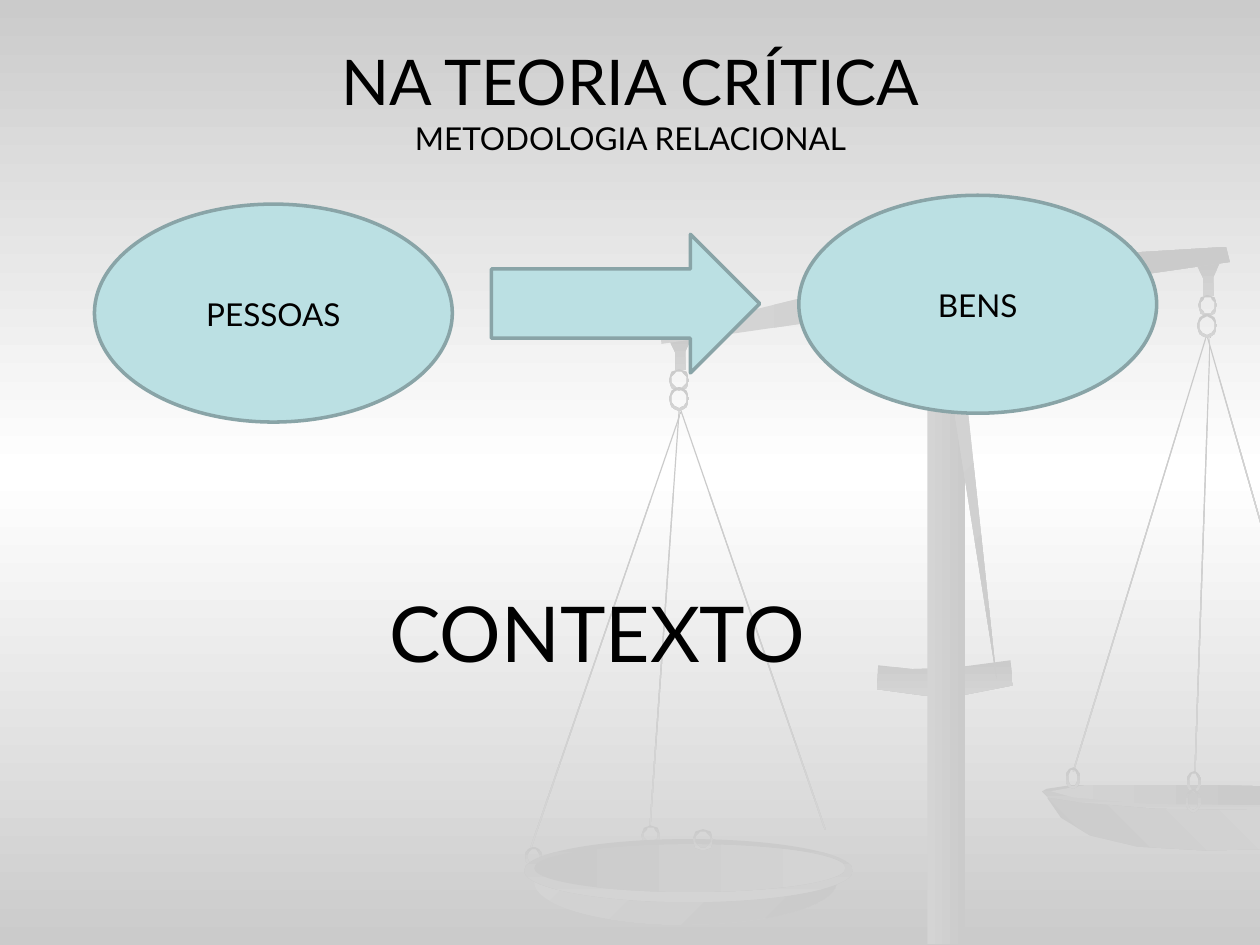
from copy import deepcopy
from math import cos, pi, sin

from pptx import Presentation
from pptx import util as u
from pptx.dml.color import RGBColor
from pptx.enum import shapes, text
from pptx.oxml import ns

PX = u.Inches(0.01)
FONT = "Lato"
BLACK = RGBColor(0x00, 0x00, 0x00)
WHITE = RGBColor(0xFF, 0xFF, 0xFF)
GREY = RGBColor(0xCB, 0xCB, 0xCB)
PALE_GREY = RGBColor(0xD4, 0xD4, 0xD4)
AQUA = RGBColor(0xBB, 0xE0, 0xE3)
TEAL = RGBColor(0x89, 0xA4, 0xA7)
DARK_FIRST = (GREY, PALE_GREY)
LIGHT_FIRST = (PALE_GREY, GREY)
DOWN = (DARK_FIRST, 90)
ACROSS = (LIGHT_FIRST, 0)
DIAGONAL = (LIGHT_FIRST, 45)
RECTANGLE = shapes.MSO_SHAPE.RECTANGLE
OVAL = shapes.MSO_SHAPE.OVAL
HOOK = [(18, 0), (0, 2), (5, 12), (5, 26), (13, 26), (13, 11)]


def paint_gradient(shape, colours, angle):
    """Fill a shape with a two-colour gradient at a clockwise angle, without outline."""
    shape.shadow.inherit = False
    shape.line.fill.background()
    shape.fill.gradient()
    shape.fill.gradient_angle = (360 - angle) % 360
    for stop, colour in zip(shape.fill.gradient_stops, colours):
        stop.color.rgb = colour


def add_preset(slide, kind, box, frame):
    """Add a preset shape whose frame is relative to a box."""
    left, top, width, height = frame
    place = (box[0] + left, box[1] + top, width, height)
    return slide.shapes.add_shape(kind, *(length * PX for length in place))


def draw_outline(slide, box, paint, *contours):
    """Draw one closed outline, with its holes, inside a box."""
    builder = slide.shapes.build_freeform(*contours[0][0], scale=PX)
    builder.add_line_segments(contours[0][1:])
    for hole in contours[1:]:
        builder.move_to(*hole[0])
        builder.add_line_segments(hole[1:])
    paint_gradient(builder.convert_to_shape(box[0] * PX, box[1] * PX), *paint)


def trace_arc(frame, sweep=2 * pi, steps=16):
    """Return points along the ellipse of a frame, starting upwards from its left end."""
    left, top, width, height = frame
    angles = [sweep * step / steps for step in range(steps + 1)]
    return [(left + width * (1 - cos(a)) / 2, top + height * (1 - sin(a)) / 2) for a in angles]


def draw_ring(slide, box, frame):
    """Draw a chain ring with an open middle."""
    left, top, width, height = frame
    hole = (left + 2, top + 2, width - 4, height - 4)
    draw_outline(slide, box, DOWN, trace_arc(frame), trace_arc(hole))


def draw_hanger(slide, box, strings, hook, rings):
    """Draw the strings, hook and rings that hold a pan."""
    for left, top, height, rotation in strings:
        string = add_preset(slide, RECTANGLE, box, (left, top, 1, height))
        string.rotation = rotation
        paint_gradient(string, *DOWN)
    draw_outline(slide, (box[0] + hook[0], box[1] + hook[1]), DOWN, HOOK)
    for frame in rings:
        draw_ring(slide, box, frame)


def draw_right_pan(slide, box):
    """Draw the right pan, cut off by the edge of the slide."""
    rim = [(200, 26), (158, 24), (51, 23), (31, 26), (27, 28), (32, 33), (63, 39),
           (114, 44), (158, 45), (200, 45)]
    bowl = [(31, 33), (42, 49), (65, 63), (103, 72), (157, 75), (200, 74), (200, 43),
            (118, 42), (57, 37)]
    inside = [(200, 24), (156, 23), (62, 23), (34, 28), (52, 33), (112, 38), (200, 39)]
    dish = (box[0], box[1] + 400)
    draw_outline(slide, dish, DOWN, rim)
    draw_outline(slide, dish, (DARK_FIRST, 315), bowl)
    draw_outline(slide, dish, ACROSS, inside)
    strings = [(104, 60, 360, 17), (154, 66, 347, 2), (179, 65, 153, 344)]
    rings = [(151, 34, 15, 17), (150, 49, 16, 19), (46, 409, 11, 17),
             (142, 412, 11, 17), (141, 426, 12, 19)]
    draw_hanger(slide, box, strings, (150, 9), rings)


def draw_left_pan(slide, box):
    """Draw the left pan with its round dish."""
    strings = [(197, 115, 353, 341), (80, 117, 368, 19), (127, 125, 331, 4)]
    rings = [(131, 93, 16, 17), (131, 107, 16, 19), (109, 455, 15, 16),
             (156, 472, 16, 19), (17, 472, 13, 16)]
    draw_hanger(slide, box, strings, (131, 68), rings)
    dish = [
        ((24, 466, 240, 68), DIAGONAL),
        ((16, 466, 261, 50), DOWN),
        ((24, 470, 247, 38), (DARK_FIRST, 0)),
    ]
    for frame, paint in dish:
        paint_gradient(add_preset(slide, OVAL, box, frame), *paint)
    draw_ring(slide, box, (150, 458, 16, 17))


def draw_stand(slide, box):
    """Draw the foot, beam, post and pointer of the scales."""
    foot = [(197, 428), (224, 431), (257, 430), (302, 424), (304, 444), (268, 451),
            (233, 452), (196, 447)]
    beam = [(473, 96), (476, 108), (25, 173), (24, 164), (237, 112), (259, 109)]
    pointer = [(291, 439), (250, 180), (248, 168), (260, 165), (263, 177)]
    draw_outline(slide, box, DOWN, foot)
    paint_gradient(add_preset(slide, RECTANGLE, box, (234, 137, 34, 18)), *DOWN)
    paint_gradient(add_preset(slide, OVAL, box, (246, 106, 8, 8)), *DOWN)
    draw_outline(slide, box, ACROSS, beam)
    post = [
        (RECTANGLE, (236, 208, 30, 441), ACROSS),
        (RECTANGLE, (244, 168, 13, 42), DOWN),
        (shapes.MSO_SHAPE.ROUNDED_RECTANGLE, (233, 203, 36, 9), DOWN),
    ]
    for kind, frame, paint in post:
        paint_gradient(add_preset(slide, kind, box, frame), *paint)
    draw_outline(slide, box, DIAGONAL, pointer)
    draw_outline(slide, box, ACROSS, trace_arc((224, 147, 55, 48), pi, 8))


def write_lines(frame, lines):
    """Write centred lines, each given as wording and point size."""
    frame.word_wrap = True
    for index, (wording, size) in enumerate(lines):
        paragraph = frame.add_paragraph() if index else frame.paragraphs[0]
        paragraph.alignment = text.PP_ALIGN.CENTER
        paragraph.line_spacing = 1.02
        run = paragraph.add_run()
        run.text = wording
        run.font.name, run.font.size = FONT, u.Pt(size)
        run.font.color.rgb = BLACK


def add_text(slide, box, lines):
    """Add a text box that grows with its lines."""
    frame = slide.shapes.add_textbox(*(length * PX for length in box)).text_frame
    frame.auto_size = text.MSO_AUTO_SIZE.SHAPE_TO_FIT_TEXT
    write_lines(frame, lines)


def draw_relation(slide, box):
    """Draw the two ovals and the arrow between them."""
    parts = [
        (OVAL, (0, 7, 284, 173), "PESSOAS"),
        (OVAL, (559, 0, 284, 173), "BENS"),
        (shapes.MSO_SHAPE.RIGHT_ARROW, (315, 31, 213, 110), None),
    ]
    for kind, frame, label in parts:
        shape = add_preset(slide, kind, box, frame)
        shape.shadow.inherit = False
        shape.fill.solid()
        shape.fill.fore_color.rgb = AQUA
        shape.line.color.rgb = TEAL
        shape.line.width = u.Pt(2)
        if label:
            shape.text_frame.vertical_anchor = text.MSO_ANCHOR.MIDDLE
            write_lines(shape.text_frame, [(label, 18)])


def paint_background(slide):
    """Fill the slide with a grey, white, grey vertical gradient."""
    fill = slide.background.fill
    fill.gradient()
    fill.gradient_angle = 270
    stop_list = slide.element.find(".//" + ns.qn("a:gsLst"))
    stop_list.insert(1, deepcopy(stop_list[0]))
    for stop, position, colour in zip(fill.gradient_stops, (0, 0.5, 1), (GREY, WHITE, GREY)):
        stop.position = position
        stop.color.rgb = colour


def main():
    """Build and save the presentation."""
    presentation = Presentation()
    presentation.slide_width, presentation.slide_height = 1000 * PX, 750 * PX
    slide = presentation.slides.add_slide(presentation.slide_layouts[6])
    paint_background(slide)
    draw_right_pan(slide, (800, 200))
    draw_left_pan(slide, (400, 200))
    draw_stand(slide, (500, 100))
    draw_relation(slide, (75, 155))
    add_text(slide, (20, 28, 961, 102), [("NA TEORIA CRÍTICA", 36), ("METODOLOGIA RELACIONAL", 18)])
    add_text(slide, (228, 458, 492, 85), [("CONTEXTO", 44)])
    presentation.save("out.pptx")


if __name__ == "__main__":
    main()
